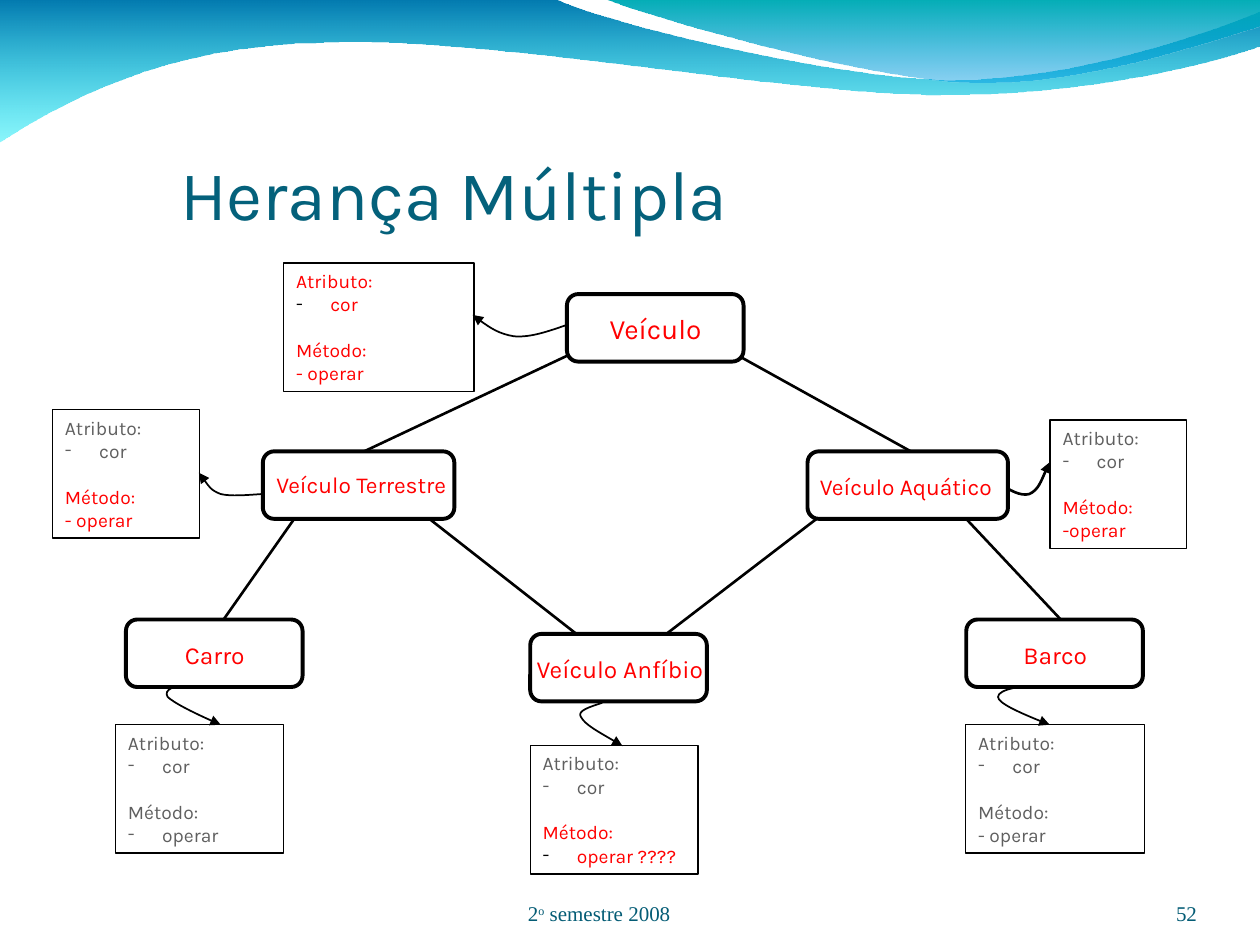
from dataclasses import dataclass

from lxml import etree
from pptx import Presentation
from pptx.dml.color import RGBColor
from pptx.enum.shapes import MSO_CONNECTOR, MSO_SHAPE
from pptx.enum.text import MSO_ANCHOR, PP_ALIGN
from pptx.oxml.ns import qn
from pptx.slide import Slide
from pptx.util import Cm, Pt

STRAIGHT = MSO_CONNECTOR.STRAIGHT
RECTANGLE = MSO_SHAPE.RECTANGLE
ROUNDED = MSO_SHAPE.ROUNDED_RECTANGLE
TOP, BOTTOM = MSO_ANCHOR.TOP, MSO_ANCHOR.BOTTOM
LEFT, CENTER, RIGHT = PP_ALIGN.LEFT, PP_ALIGN.CENTER, PP_ALIGN.RIGHT

BLACK, WHITE, RED, GREY = "000000", "FFFFFF", "FF0000", "5F5F5F"
TITLE_COLOR, FOOTER_COLOR = "04617B", "045C75"

WAVES = [
    ([(0, -0.03), (11.18, -0.03), (12.09, 0.43, 16.87, 1.6, 19.25, 1.6),
      (21.67, 1.6, 24.33, 0.66, 25.4, 0.23), (25.43, 0.91),
      (24.97, 1.12, 22.1, 1.93, 18.95, 1.91),
      (15.8, 1.91, 9.7, 0.71, 6.53, 0.86),
      (3.28, 0.89, 1.17, 2.11, -0.03, 2.87)], "0079AF", "00EBF8"),
    ([(12.17, -0.03), (12.93, 0.28, 17.32, 1.57, 19.53, 1.65),
      (21.74, 1.75, 24.41, 0.81, 25.4, 0.53), (25.4, 0)], "00ADB6", "009BE5"),
]
ARROWS = [
    ([(20.12, 9.73), (20.35, 9.88, 20.57, 10.01, 20.75, 9.96),
      (20.93, 9.88, 21.03, 9.6, 21.16, 9.32)], 1.5),
    ([(11.43, 6.55), (11.05, 6.68, 10.69, 6.81, 10.36, 6.78),
      (10.06, 6.73, 9.78, 6.55, 9.53, 6.35)], 1),
    ([(5.28, 9.96), (4.98, 9.98, 4.65, 10.01, 4.45, 9.96),
      (4.24, 9.88, 4.14, 9.7, 4.01, 9.53)], 1),
    ([(3.81, 13.77), (3.56, 13.82, 3.28, 13.89, 3.38, 14.05),
      (3.51, 14.17, 3.96, 14.4, 4.45, 14.61)], 1),
    ([(12.14, 14.17), (11.89, 14.25, 11.63, 14.33, 11.71, 14.45),
      (11.79, 14.61, 12.17, 14.81, 12.55, 15.04)], 1),
    ([(21.16, 13.77), (20.62, 13.82, 20.12, 13.89, 20.12, 14.05),
      (20.12, 14.17, 20.62, 14.4, 21.16, 14.61)], 1),
]
CARDS = [
    (5.72, 5.3, 3.84, RED, RED, "- operar", WHITE),
    (1.06, 8.26, 2.96, GREY, RED, "- operar"),
    (21.17, 8.47, 2.75, GREY, RED, "-operar"),
    (2.33, 14.61, 3.38, GREY, GREY, "operar"),
    (10.69, 15.03, 3.38, GREY, RED, "operar ????"),
    (19.47, 14.61, 3.6, GREY, GREY, "- operar"),
]
NODES = [
    (11.43, 5.93, 3.56),
    (5.3, 9.1, 3.86),
    (16.28, 9.1, 4.04),
    (2.54, 12.49, 3.56),
    (10.69, 12.78, 3.56),
    (19.48, 12.49, 3.56),
]
NODE_NAMES = [
    ("Veículo", 12.01, 6.15, 2.41, 0.94, 16, WHITE),
    ("Veículo Terrestre", 5.21, 9.37, 4.14, 0.81, 13),
    ("Veículo Aquático", 16.23, 9.4, 4.06, 0.81, 13),
    ("Carro", 3.43, 12.78, 1.8, 0.86, 14, WHITE),
    ("Veículo Anfíbio", 10.52, 13.06, 3.96, 0.86, 14),
    ("Barco", 20.35, 12.78, 1.85, 0.86, 14, WHITE),
]
LINKS = [
    (7.19, 9.17, 12.9, 6.48),
    (18.49, 9.17, 13.26, 6.27),
    (4.45, 12.57, 6.78, 9.25),
    (11.71, 12.85, 7.11, 9.25),
    (13.34, 12.85, 17.78, 9.45),
    (21.46, 12.57, 18.34, 9.25),
]


def color(value):
    return RGBColor.from_string(value)


@dataclass
class Sketch:
    page: Slide
    font: str = "Karla"
    card_height: float = 2.59
    node_height: float = 1.36

    def format_runs(self, para, size, ink, font=None):
        for span in para.runs:
            span.font.size = Pt(size)
            span.font.name = font or self.font
            span.font.color.rgb = color(ink)

    def paint(self, shape, fill):
        if fill is None:
            shape.fill.background()
        else:
            shape.fill.solid()
            shape.fill.fore_color.rgb = color(fill)

    def outline(self, segments, closed):
        points = [(Cm(segment[i]), Cm(segment[i + 1]))
                  for segment in segments for i in range(0, len(segment), 2)]
        builder = self.page.shapes.build_freeform(*points[0], scale=1.0)
        builder.add_line_segments(points[1:], close=closed)
        shape = builder.convert_to_shape()
        shape.shadow.inherit = False
        drawing = next(shape._element.iter(qn("a:path")))
        steps = iter(drawing.findall(qn("a:lnTo")))
        for segment in segments[1:]:
            group = [next(steps) for _ in range(len(segment) // 2)]
            if len(group) == 3:
                curve = etree.Element(qn("a:cubicBezTo"))
                group[0].addprevious(curve)
                for step in group:
                    curve.append(step[0])
                    drawing.remove(step)
        return shape

    def wave(self, segments, start, end):
        shape = self.outline(segments, True)
        shape.line.fill.background()
        shape.fill.gradient()
        shape.fill.gradient_angle = 270
        for stop, shade in zip(shape.fill.gradient_stops, (start, end)):
            stop.color.rgb = color(shade)
        last = list(shape._element.spPr.iter(qn("a:srgbClr")))[-1]
        etree.SubElement(last, qn("a:alpha"), val="45000")

    def arrow(self, segments, width):
        shape = self.outline(segments, False)
        shape.fill.background()
        shape.line.color.rgb = color(BLACK)
        shape.line.width = Pt(width)
        line = shape._element.spPr.find(qn("a:ln"))
        etree.SubElement(line, qn("a:tailEnd"), type="triangle")

    def box(self, kind, left, top, width, height, border, fill):
        shape = self.page.shapes.add_shape(kind, Cm(left), Cm(top), Cm(width), Cm(height))
        shape.shadow.inherit = False
        self.paint(shape, fill)
        shape.line.color.rgb = color(BLACK)
        shape.line.width = Pt(border)
        return shape

    def bullet(self, para, ink):
        properties = para._p.get_or_add_pPr()
        properties.set("marL", str(Cm(0.69)))
        properties.set("indent", str(-Cm(0.69)))
        holder = etree.SubElement(properties, qn("a:buClr"))
        etree.SubElement(holder, qn("a:srgbClr"), val=ink)
        etree.SubElement(properties, qn("a:buFont"), typeface=self.font)
        etree.SubElement(properties, qn("a:buChar"), char="-")

    def card(self, left, top, width, attribute_ink, method_ink, method, fill=None):
        shape = self.box(RECTANGLE, left, top, width, self.card_height, 0.75, fill)
        frame = shape.text_frame
        frame.vertical_anchor = TOP
        frame.text = "\n".join(("Atributo:", "cor", "Método:", method))
        inks = (attribute_ink, attribute_ink, method_ink, method_ink)
        for index, (para, ink) in enumerate(zip(frame.paragraphs, inks)):
            para.alignment = LEFT
            if index % 2 and not para.text.startswith("-"):
                self.bullet(para, GREY if ink == GREY else BLACK)
            self.format_runs(para, 11, ink)
        frame.paragraphs[2].space_before = Pt(13)

    def node(self, left, top, width):
        self.box(ROUNDED, left, top, width, self.node_height, 2.25, WHITE)

    def link(self, x1, y1, x2, y2):
        line = self.page.shapes.add_connector(STRAIGHT, Cm(x1), Cm(y1), Cm(x2), Cm(y2))
        line.line.color.rgb = color(BLACK)
        line.line.width = Pt(1.5)
        etree.SubElement(line._element.spPr, qn("a:effectLst"))

    def label(self, parts, left, top, width, height, align, size, ink, font=None):
        shape = self.page.shapes.add_textbox(Cm(left), Cm(top), Cm(width), Cm(height))
        shape.text_frame.word_wrap = True
        shape.text_frame.vertical_anchor = BOTTOM
        para = shape.text_frame.paragraphs[0]
        para.alignment = align
        for part in parts:
            para.add_run().text = part
        self.format_runs(para, size, ink, font)
        return shape

    def node_name(self, text, left, top, width, height, size, fill=None):
        shape = self.label([text], left, top, width, height, CENTER, size, RED)
        shape.text_frame.word_wrap = False
        shape.text_frame.vertical_anchor = TOP
        self.paint(shape, fill)

    def footer(self, parts, left, width, align):
        frame = self.label(parts, left, 17.65, width, 1.02, align, 12,
                           FOOTER_COLOR, "Times New Roman").text_frame
        frame.margin_left = frame.margin_right = frame.margin_top = frame.margin_bottom = 0
        for span in frame.paragraphs[0].runs[1:2]:
            span._r.get_or_add_rPr().set("baseline", "30000")


def main():
    deck = Presentation()
    deck.slide_width, deck.slide_height = Cm(25.4), Cm(19.05)
    sketch = Sketch(deck.slides.add_slide(deck.slide_layouts[6]))
    for wave in WAVES:
        sketch.wave(*wave)
    sketch.footer(["2", "o", " semestre 2008"], 7.42, 9.32, CENTER)
    sketch.footer(["52"], 22.02, 2.11, RIGHT)
    for method, items in ((sketch.link, LINKS), (sketch.card, CARDS),
                          (sketch.arrow, ARROWS), (sketch.node, NODES),
                          (sketch.node_name, NODE_NAMES)):
        for item in items:
            method(*item)
    sketch.label(["Herança Múltipla"], 3.38, 1.68, 21.64, 3.18, LEFT, 40, TITLE_COLOR)
    deck.save("out.pptx")


if __name__ == "__main__":
    main()
